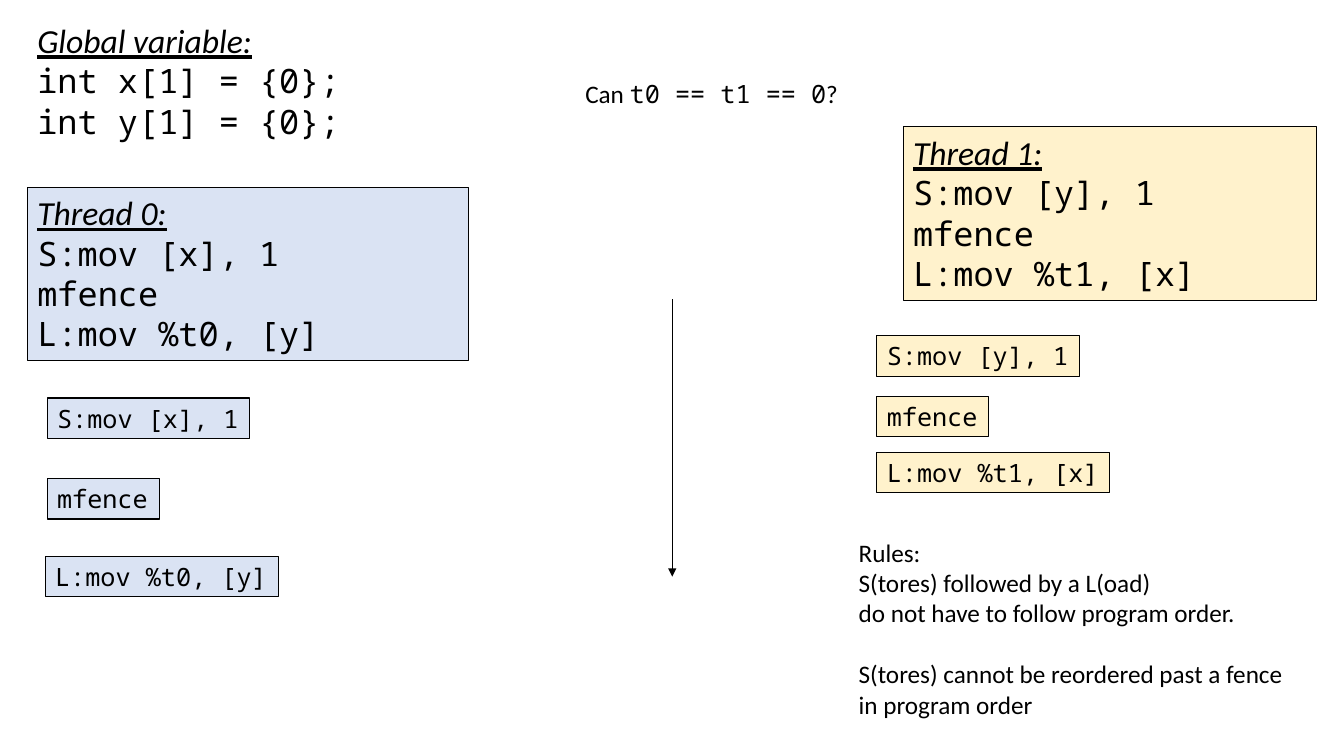
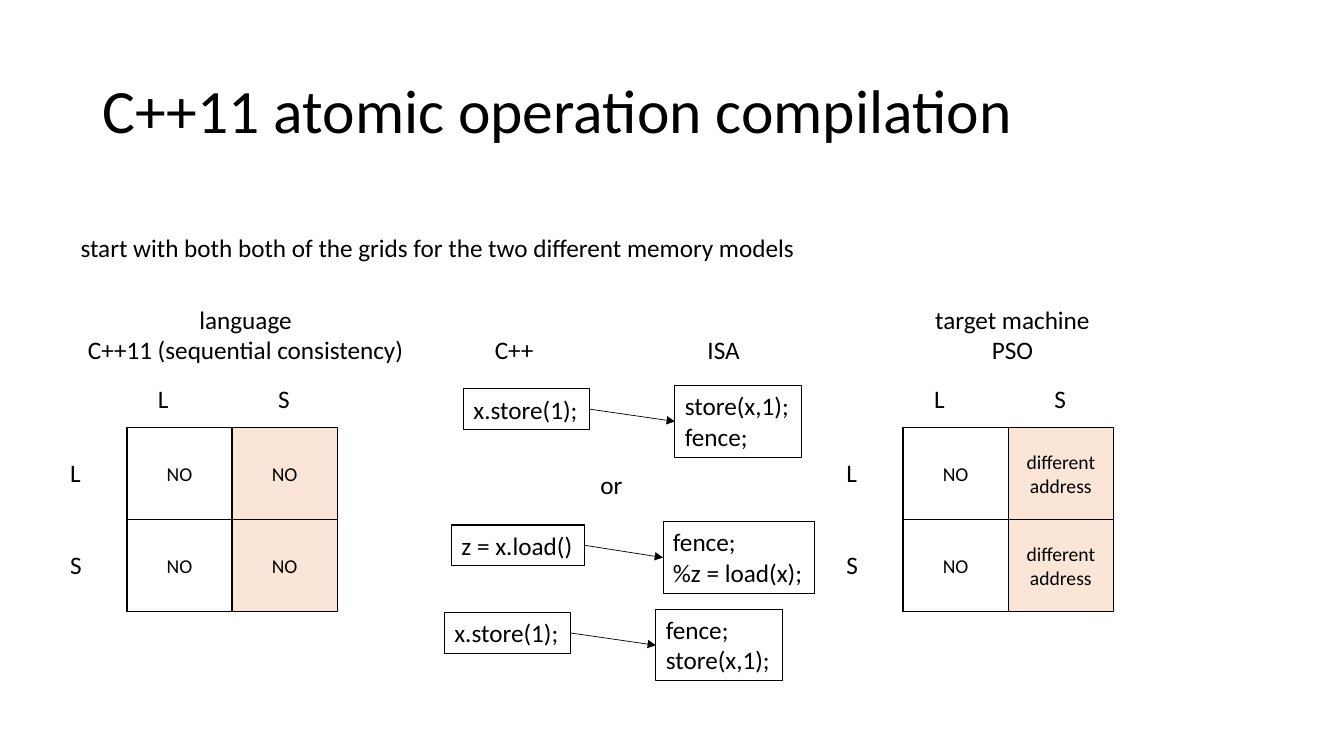
import pptx
import pptx.dml.color
import pptx.enum.shapes
import pptx.enum.text
import pptx.oxml
import pptx.oxml.ns
import pptx.util
from pptx.util import Cm

BLACK, BLUE, YELLOW, PEACH = "000000", "DAE3F3", "FFF2CC", "FBE5D6"
SANS, MONO = "Calibri", "Noto Sans Mono"
CENTER = pptx.enum.text.PP_ALIGN.CENTER
LEFT = pptx.enum.text.PP_ALIGN.LEFT
TOP = pptx.enum.text.MSO_ANCHOR.TOP
MIDDLE = pptx.enum.text.MSO_ANCHOR.MIDDLE
LINE_HEIGHT = 1.02
TWO_LINES = 1.8


def color(value):
    """Turn a hex string into a colour."""
    return pptx.dml.color.RGBColor.from_string(value)


def write(box, lines, size=18, font=SANS, align=LEFT, anchor=TOP, wrap=False):
    """Write each line as a paragraph and return the paragraphs."""
    frame = box.text_frame
    frame.word_wrap = wrap
    frame.vertical_anchor = anchor
    frame.text = "\n".join(lines)
    for para in frame.paragraphs:
        para.alignment = align
        para.font.name = font
        para.font.size = pptx.util.Pt(size)
        para.font.color.rgb = color(BLACK)
    return frame.paragraphs


def add_label(page, place, lines, **style):
    """Add plain text at left, top, width, height."""
    box = page.shapes.add_textbox(*map(Cm, place))
    return write(box, lines, **style)


def add_box(page, place, lines, fill=None, weight=0.75, **style):
    """Add an outlined rectangle holding text."""
    box = page.shapes.add_shape(pptx.enum.shapes.MSO_SHAPE.RECTANGLE, *map(Cm, place))
    box.shadow.inherit = False
    if fill:
        box.fill.solid()
        box.fill.fore_color.rgb = color(fill)
    else:
        box.fill.background()
    box.line.color.rgb = color(BLACK)
    box.line.width = pptx.util.Pt(weight)
    write(box, lines, **style)
    return box


def underline_heading(para):
    """Set a paragraph as an underlined italic heading."""
    para.font.name = SANS
    para.font.italic = True
    para.font.underline = True


def add_arrow(page, start=(0, 0), end=(0, 0)):
    """Add a thin line with an arrowhead at its end."""
    arrow = page.shapes.add_connector(
        pptx.enum.shapes.MSO_CONNECTOR.STRAIGHT, *map(Cm, (*start, *end)))
    arrow.line.color.rgb = color(BLACK)
    arrow.line.width = pptx.util.Pt(0.5)
    head = pptx.oxml.parse_xml(
        f'<a:tailEnd {pptx.oxml.ns.nsdecls("a")} type="triangle"/>')
    arrow.line._get_or_add_ln().append(head)
    arrow._element.spPr.append(
        pptx.oxml.parse_xml(f'<a:effectLst {pptx.oxml.ns.nsdecls("a")}/>'))
    return arrow


def add_thread(page, place, lines, fill, steps):
    """Add a thread's program and its separate instructions."""
    program = add_box(page, place, lines, fill, size=24, font=MONO, wrap=True)
    underline_heading(program.text_frame.paragraphs[0])
    for text, width, (left, top) in zip(lines[1:], (5.11, 2.82, 5.87), steps):
        add_box(page, (left, top, width, LINE_HEIGHT), [text], fill, font=MONO)


def add_question(page):
    """Add the question with its condition set as code."""
    para = add_label(page, (14.5, 1.85, 6.93, LINE_HEIGHT), [""])[0]
    for text, font in (("Can ", SANS), ("t0 == t1 == 0", MONO), ("?", SANS)):
        span = para.add_run()
        span.text = text
        span.font.name = font


def add_grid(page, left, cells):
    """Add a two by two reordering grid with L and S labels."""
    top, width, height = 10.77, 2.65, 2.32
    for index, name in enumerate("LS"):
        add_label(page, (left + 0.53 + 3.03 * index, 9.53, 0.8, LINE_HEIGHT), [name])
        add_label(page, (left - 1.68, 11.4 + height * index, 0.8, LINE_HEIGHT), [name])
    for row in range(2):
        for column, fill in enumerate((None, PEACH)):
            place = (left + column * width, top + row * height, width, height)
            add_box(page, place, cells[column], fill, weight=1, size=14,
                    align=CENTER, anchor=MIDDLE, wrap=True)


def add_mapping(page, left, top, source, target, widths):
    """Add a language operation with an arrow to its instructions."""
    first = add_box(page, (left, top, widths[0], LINE_HEIGHT), [source])
    second = add_box(page, (left + 5.33, top - 0.08, widths[1], TWO_LINES), target)
    arrow = add_arrow(page)
    arrow.begin_connect(first, 3)
    arrow.end_connect(second, 1)


def build_threads(page):
    """Build the slide on two threads with fences."""
    heading = add_label(page, (0.69, 0.38, 12.14, 3.33),
                        ["Global variable:", "int x[1] = {0};", "int y[1] = {0};"],
                        size=24, font=MONO, wrap=True)[0]
    underline_heading(heading)
    add_question(page)
    add_thread(page, (0.69, 4.72, 11.13, 4.37),
               ["Thread 0:", "S:mov [x], 1", "mfence", "L:mov %t0, [y]"],
               BLUE, [(1.19, 10.03), (1.19, 12.06), (1.14, 14.02)])
    add_thread(page, (22.76, 3.2, 10.41, 4.37),
               ["Thread 1:", "S:mov [y], 1", "mfence", "L:mov %t1, [x]"],
               YELLOW, [(22.1, 8.46), (22.1, 9.98), (22.1, 11.4)])
    add_arrow(page, (16.94, 7.54), (16.94, 14.53))
    rules = add_label(page, (21.39, 13.41, 11.33, 4.88),
                      ["Rules:", "S(tores) followed by a L(oad)",
                       "do not have to follow program order.",
                       "S(tores) cannot be reordered past a fence",
                       "in program order"])
    rules[3].space_before = pptx.util.Pt(22)


def build_compilation(page):
    """Build the slide on compiling atomic operations."""
    title = add_label(page, (2.34, 1.02, 29.21, 3.68),
                      ["C++11 atomic operation compilation"],
                      size=44, anchor=MIDDLE, wrap=True)[0]
    title.line_spacing = 0.9
    add_label(page, (1.78, 5.74, 18.87, LINE_HEIGHT),
              ["start with both both of the grids for the two different memory models"])
    add_label(page, (1.91, 7.54, 8.56, TWO_LINES),
              ["language", "C++11 (sequential consistency)"], align=CENTER)
    add_label(page, (23.29, 7.54, 4.45, TWO_LINES),
              ["target machine", "PSO"], align=CENTER)
    add_grid(page, 3.2, (["NO"], ["NO"]))
    add_grid(page, 22.76, (["NO"], ["different", "address"]))
    add_label(page, (12.22, 8.31, 1.5, LINE_HEIGHT), ["C++"])
    add_label(page, (17.58, 8.31, 1.32, LINE_HEIGHT), ["ISA"])
    add_label(page, (14.88, 11.71, 1.07, LINE_HEIGHT), ["or"])
    add_mapping(page, 11.68, 9.8, "x.store(1);", ["store(x,1);", "fence;"], (3.18, 3.18))
    add_mapping(page, 11.38, 13.23, "z = x.load()", ["fence;", "%z = load(x);"], (3.35, 3.81))
    add_mapping(page, 11.2, 15.44, "x.store(1);", ["fence;", "store(x,1);"], (3.18, 3.18))


def main():
    """Build the deck and save it."""
    deck = pptx.Presentation()
    deck.slide_width, deck.slide_height = Cm(33.87), Cm(19.05)
    for build in (build_threads, build_compilation):
        build(deck.slides.add_slide(deck.slide_layouts[6]))
    deck.save("out.pptx")


if __name__ == "__main__":
    main()
